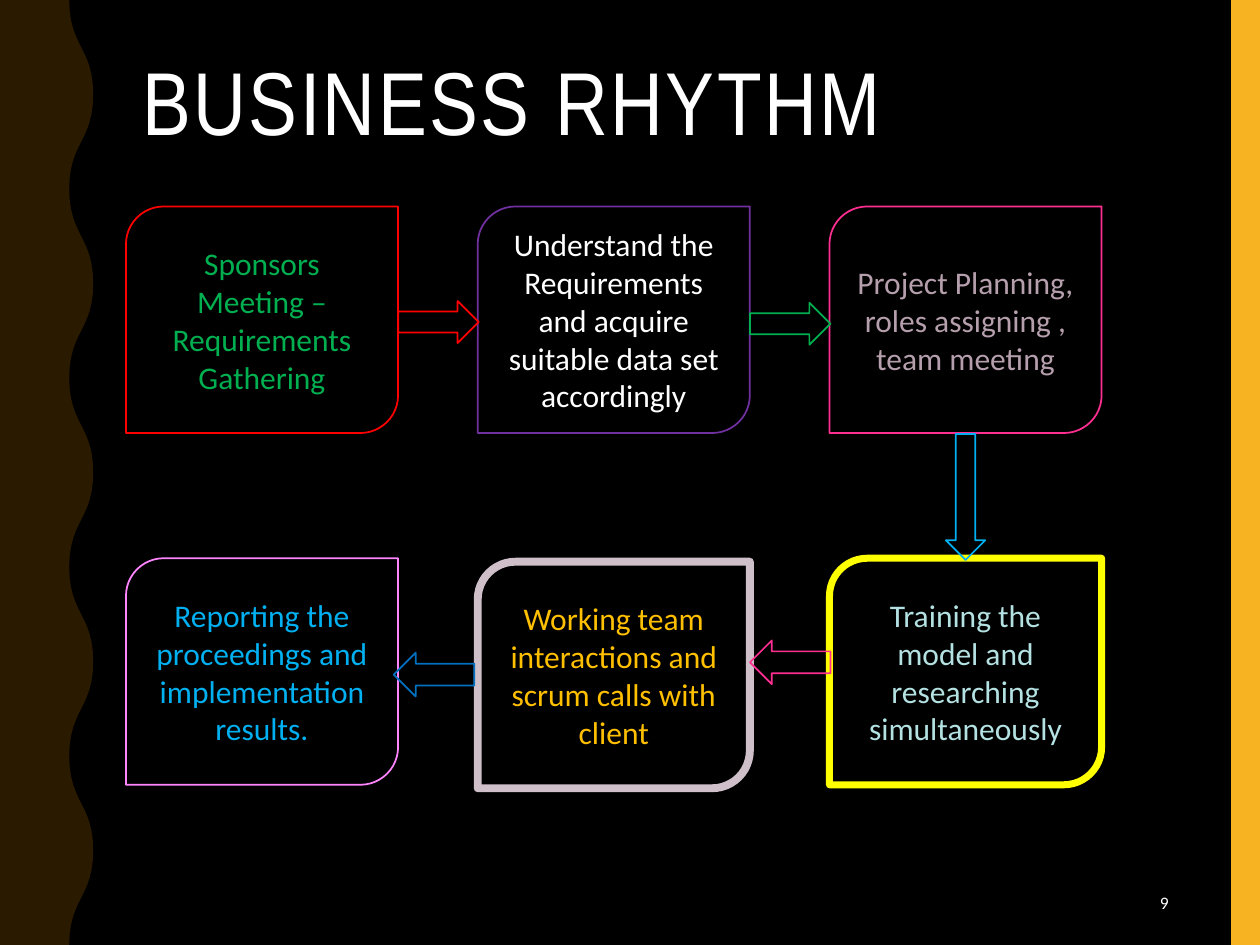
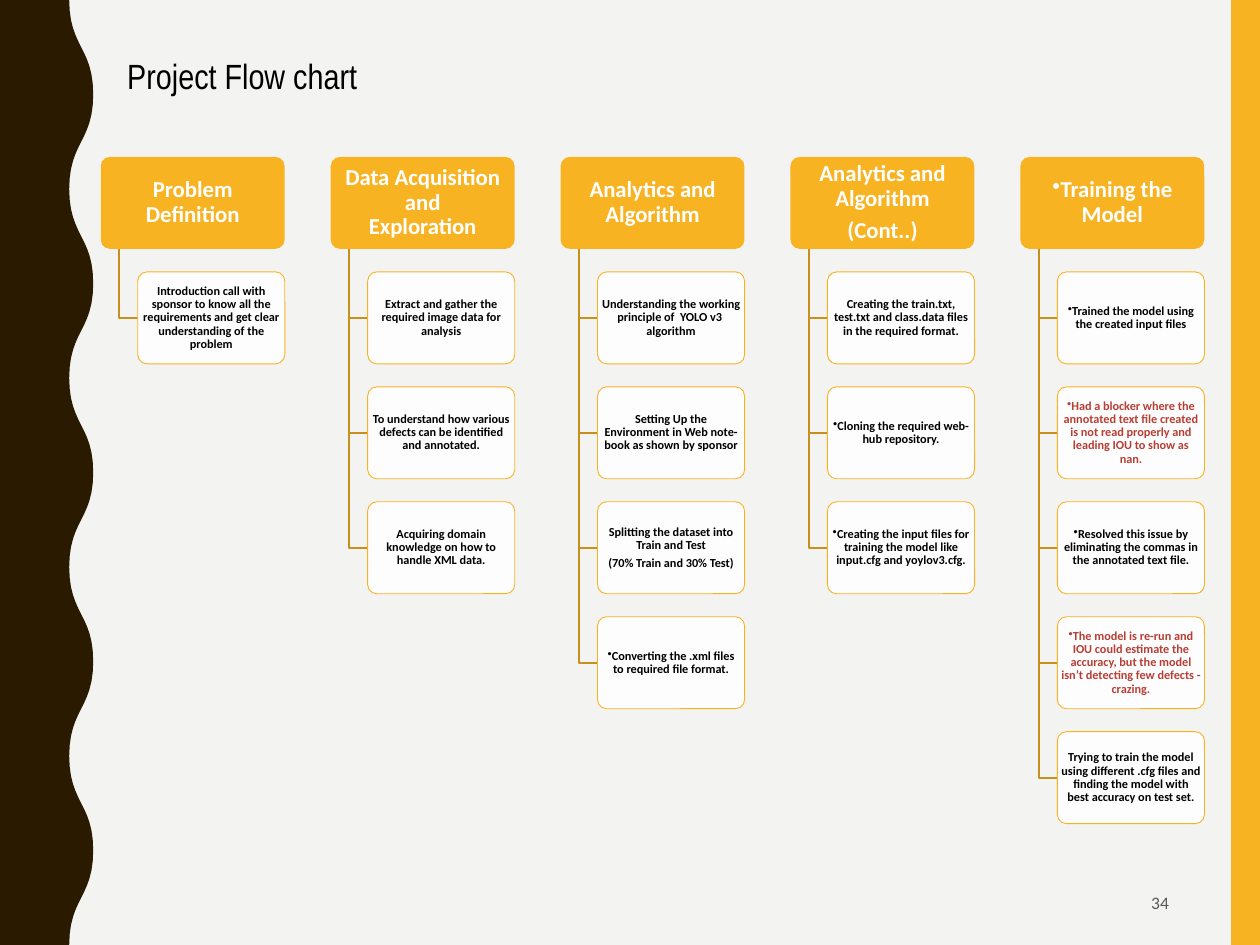
from dataclasses import dataclass

from lxml.etree import SubElement
from pptx import Presentation
from pptx.dml.color import RGBColor
from pptx.enum.shapes import MSO_SHAPE
from pptx.enum.text import MSO_ANCHOR, MSO_AUTO_SIZE, PP_ALIGN
from pptx.oxml.ns import qn
from pptx.util import Pt


@dataclass(frozen=True)
class Theme:
    heading_font: str = "Arial Narrow"
    body_font: str = "Calibri"
    gold: str = "F8B323"
    dark_gold: str = "C78F1C"
    brown: str = "2A1A00"
    black: str = "000000"
    white: str = "FFFFFF"
    paper: str = "F3F3F2"
    gray: str = "595959"
    alert: str = "B73E35"
    big_title: float = 51
    small_title: float = 20
    step: float = 18
    phase: float = 13
    card: float = 7
    page_number: float = 10


THEME = Theme()
SLIDE_W, SLIDE_H = 720, 540


@dataclass(frozen=True)
class Step:
    text: str
    text_color: str
    outline: str
    outline_width: float = 1
    drop: float = 0


@dataclass(frozen=True)
class Card:
    text: str
    bullet: bool = False
    alert: bool = False


# In reading order: left to right on the first row, right to left on the second.
RHYTHM_STEPS = [
    Step("Sponsors Meeting – Requirements Gathering", "00B050", "FF0000"),
    Step("Understand the Requirements and acquire suitable data set accordingly",
         THEME.white, "7030A0"),
    Step("Project Planning, roles assigning , team meeting", "B69FAD", "FF2F92"),
    Step("Training the model and researching simultaneously", "B4E1E2", "FFFF00", 4),
    Step("Working team interactions and scrum calls with client",
         "FFC000", "CFBFC9", 4.5, drop=2),
    Step("Reporting the proceedings and implementation results.", "00B0F0", "FF85FF"),
]

# Direction, left, top, width, height, outline
RHYTHM_ARROWS = [
    (MSO_SHAPE.RIGHT_ARROW, 227.5, 172, 46, 24, "FF0000"),
    (MSO_SHAPE.RIGHT_ARROW, 428.5, 173, 46, 24, "00B050"),
    (MSO_SHAPE.DOWN_ARROW, 540.5, 248, 22.5, 72, "00B0F0"),
    (MSO_SHAPE.LEFT_ARROW, 428.5, 366, 46, 25, "FF2F92"),
    (MSO_SHAPE.LEFT_ARROW, 225, 373, 46, 25, "0070C0"),
]

# "\n" starts a new paragraph, "\v" a new line in the same one.
PROJECT_PHASES = [
    (Card("Problem Definition"), [
        Card("Introduction call with sponsor to know all the requirements and get "
             "clear understanding of the problem"),
    ]),
    (Card("Data Acquisition and\vExploration"), [
        Card("Extract and gather the required image data for analysis"),
        Card("To understand how various defects can be identified and annotated."),
        Card("Acquiring domain knowledge on how to handle XML data."),
    ]),
    (Card("Analytics and Algorithm"), [
        Card("Understanding the working principle of  YOLO v3  algorithm"),
        Card("Setting Up the Environment in Web note-book as shown by sponsor"),
        Card("Splitting the dataset into Train and Test\n(70% Train and 30% Test)"),
        Card("Converting the .xml files to required file format.", bullet=True),
    ]),
    (Card("Analytics and Algorithm\n(Cont..)"), [
        Card("Creating the train.txt, test.txt and class.data files in the "
             "required format."),
        Card("Cloning the required web-hub repository.", bullet=True),
        Card("Creating the input files for training the model like input.cfg and "
             "yoylov3.cfg.", bullet=True),
    ]),
    (Card("Training the Model", bullet=True), [
        Card("Trained the model using the created input files", bullet=True),
        Card("Had a blocker where the annotated text file created is not read "
             "properly and leading IOU to show as nan.", bullet=True, alert=True),
        Card("Resolved this issue by eliminating the commas in the annotated text "
             "file.", bullet=True),
        Card("The model is re-run and IOU could estimate the accuracy, but the model "
             "isn’t detecting few defects - crazing.", bullet=True, alert=True),
        Card("Trying to train the model using different .cfg files and finding the "
             "model with best accuracy on test set."),
    ]),
]


def rgb(color):
    return RGBColor.from_string(color)


def write(frame, text, *, size, color, font=THEME.body_font, bold=False,
          align=PP_ALIGN.CENTER, anchor=MSO_ANCHOR.MIDDLE, insets=(7.2, 3.6),
          line_spacing=1.0, space_after=0, tracking=0, bullet=False):
    """Fill a text frame; insets are (side, top and bottom) in points."""
    frame.word_wrap = True
    frame.auto_size = MSO_AUTO_SIZE.NONE
    frame.vertical_anchor = anchor
    frame.margin_left = frame.margin_right = Pt(insets[0])
    frame.margin_top = frame.margin_bottom = Pt(insets[1])
    frame.text = text
    for paragraph in frame.paragraphs:
        paragraph.alignment = align
        paragraph.line_spacing = line_spacing
        paragraph.space_after = Pt(space_after)
        if bullet:
            properties = paragraph._p.get_or_add_pPr()
            properties.set("marL", "0")
            properties.set("indent", "0")
            SubElement(properties, qn("a:buChar"), char="•")
        for line_break in paragraph._p.findall(qn("a:br")):
            SubElement(line_break, qn("a:rPr"), sz=str(int(size * 100)))
        for run in paragraph.runs:
            run.font.name = font
            run.font.size = Pt(size)
            run.font.bold = bold
            run.font.color.rgb = rgb(color)
            if tracking:
                run._r.get_or_add_rPr().set("spc", str(int(tracking * 100)))


def paint(shape, fill=None, line=None, line_width=1, opacity=None):
    shape.shadow.inherit = False
    if fill:
        shape.fill.solid()
        shape.fill.fore_color.rgb = rgb(fill)
        if opacity:
            color = shape.fill._xPr.find(f".//{qn('a:srgbClr')}")
            SubElement(color, qn("a:alpha"), val=str(opacity * 1000))
    else:
        shape.fill.background()
    if line:
        shape.line.color.rgb = rgb(line)
        shape.line.width = Pt(line_width)
    else:
        shape.line.fill.background()
    return shape


def add_preset(slide, kind, left, top, width, height, **look):
    shape = slide.shapes.add_shape(kind, Pt(left), Pt(top), Pt(width), Pt(height))
    return paint(shape, **look)


def add_outline(slide, points, close, **look):
    start, *rest = [(Pt(x), Pt(y)) for x, y in points]
    builder = slide.shapes.build_freeform(*start)
    builder.add_line_segments(rest, close=close)
    return paint(builder.convert_to_shape(), **look)


def wave_points(trough=39.6, crest=53.3, half_waves=10, samples=12):
    """Points down a smooth wavy edge that begins and ends in a trough."""
    half = SLIDE_H / half_waves
    points = [(trough, 0)]
    for wave in range(half_waves):
        start, end = (trough, crest) if wave % 2 == 0 else (crest, trough)
        for sample in range(1, samples + 1):
            t = sample / samples
            x = start + (end - start) * t * t * (3 - 2 * t)
            points.append((x, half * (wave + 1.5 * t * (1 - t) + t ** 3)))
    return points


def add_slide(deck, background, title, title_box, page, page_color, **title_format):
    slide = deck.slides.add_slide(deck.slide_layouts[5])
    slide.background.fill.solid()
    slide.background.fill.fore_color.rgb = rgb(background)
    add_preset(slide, MSO_SHAPE.RECTANGLE, 703.5, 0, 16.5, SLIDE_H, fill=THEME.gold)
    add_outline(slide, [(0, 0), *wave_points(), (0, SLIDE_H)], True, fill=THEME.brown)

    heading = slide.shapes.title
    heading.left, heading.top, heading.width, heading.height = map(Pt, title_box)
    write(heading.text_frame, title, font=THEME.heading_font, align=PP_ALIGN.LEFT,
          anchor=MSO_ANCHOR.TOP, line_spacing=0.9, **title_format)

    number = slide.shapes.add_textbox(Pt(508.5), Pt(502), Pt(166.5), Pt(27))
    write(number.text_frame, page, size=THEME.page_number, color=page_color,
          align=PP_ALIGN.RIGHT)
    return slide


def add_rhythm_steps(slide, left=72, top=118, pitch=201, columns=3):
    for index, step in enumerate(RHYTHM_STEPS):
        row, column = divmod(index, columns)
        if row % 2:
            column = columns - 1 - column
        box = add_preset(slide, MSO_SHAPE.ROUND_2_DIAG_RECTANGLE,
                         left + column * pitch, top + row * pitch + step.drop,
                         155.5, 129.5, line=step.outline,
                         line_width=step.outline_width)
        write(box.text_frame, step.text, size=THEME.step, color=step.text_color)


def add_flow_box(slide, card, left, top, width, height, *, size, color, insets, **look):
    box = add_preset(slide, MSO_SHAPE.ROUNDED_RECTANGLE, left, top, width, height, **look)
    box.adjustments[0] = 0.1
    write(box.text_frame, card.text, size=size, color=color, bold=True, insets=insets,
          line_spacing=0.9, space_after=0.35 * size, bullet=card.bullet)


def add_phase(slide, phase, cards, left, top, width):
    """Draw a phase header with its cards hanging from a spine."""
    height = width / 2
    pitch = 1.25 * height
    spine, card_left = left + 0.1 * width, left + 0.2 * width + 0.1
    add_flow_box(slide, phase, left, top, width, height, size=THEME.phase,
                 color=THEME.white, insets=(2, 1.3), fill=THEME.gold)
    for row, card in enumerate(cards, start=1):
        card_top = top + row * pitch
        middle = card_top + height / 2
        add_outline(slide, [(spine, top + height), (spine, middle), (card_left, middle)],
                    False, line=THEME.dark_gold)
        add_flow_box(slide, card, card_left, card_top, 0.8 * width, height,
                     size=THEME.card, color=THEME.alert if card.alert else THEME.black,
                     insets=(0.7, 0.7), fill=THEME.white, opacity=90,
                     line=THEME.gold, line_width=0.5)


def build_rhythm_slide(deck):
    slide = add_slide(deck, THEME.black, "BUSINESS RHYTHM", (74, 30, 601, 117.5),
                      "9", THEME.white, size=THEME.big_title, color=THEME.white,
                      tracking=1.5)
    add_rhythm_steps(slide)
    for kind, left, top, width, height, outline in RHYTHM_ARROWS:
        add_preset(slide, kind, left, top, width, height, line=outline)


def build_flow_slide(deck, left=57.6, top=89.7, width=105.1):
    slide = add_slide(deck, THEME.paper, "Project Flow chart", (65.5, 30, 610, 47),
                      "34", THEME.gray, size=THEME.small_title, color=THEME.black)
    for column, (phase, cards) in enumerate(PROJECT_PHASES):
        add_phase(slide, phase, cards, left + column * 1.25 * width, top, width)


def main():
    deck = Presentation()
    deck.slide_width, deck.slide_height = Pt(SLIDE_W), Pt(SLIDE_H)
    build_rhythm_slide(deck)
    build_flow_slide(deck)
    deck.save("out.pptx")


if __name__ == "__main__":
    main()
